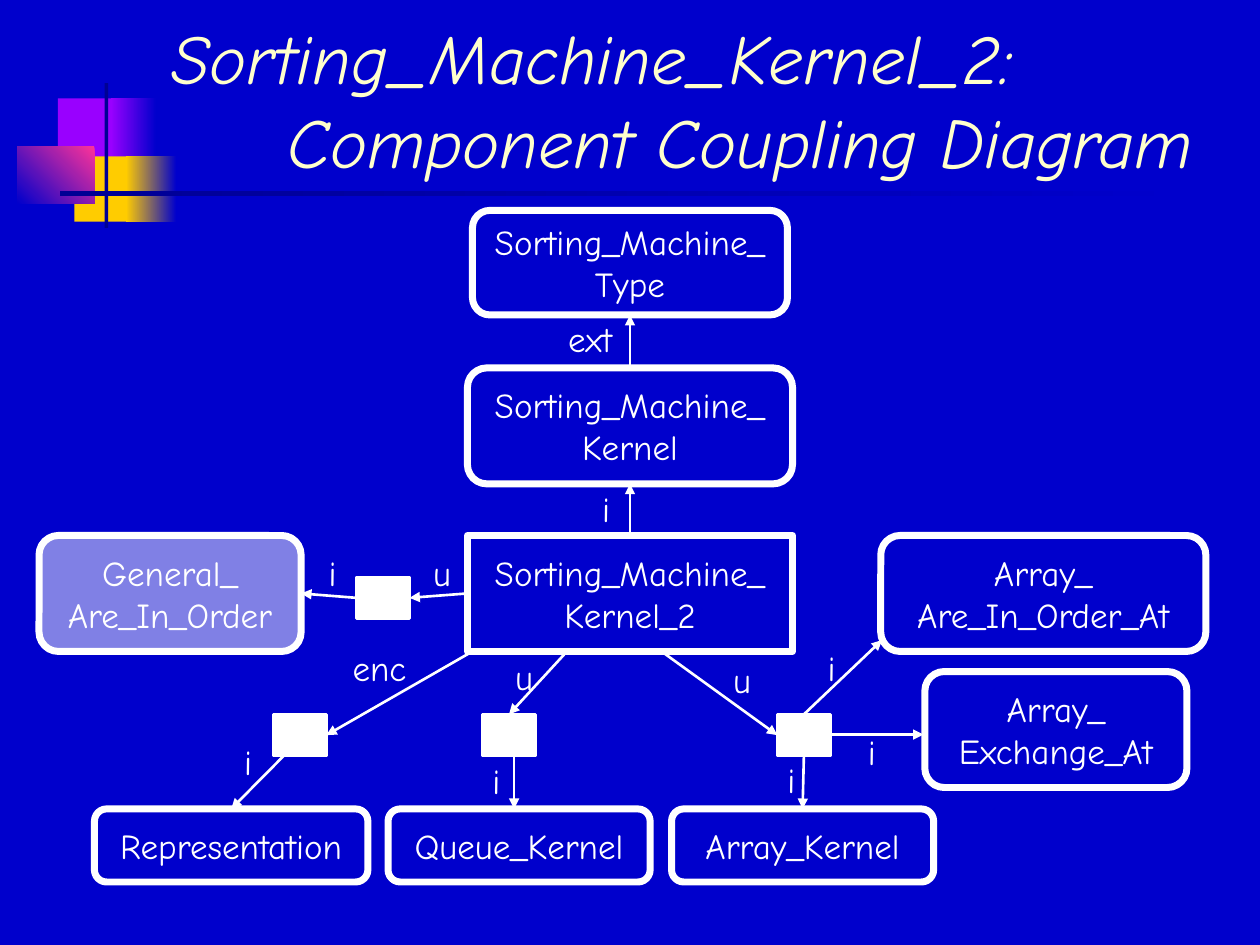
from dataclasses import dataclass
from lxml.etree import SubElement
from pptx import Presentation
from pptx.dml.color import RGBColor
from pptx.enum.shapes import MSO_CONNECTOR, MSO_SHAPE
from pptx.enum.text import MSO_ANCHOR, MSO_AUTO_SIZE, PP_ALIGN
from pptx.oxml.ns import qn
from pptx.util import Inches, Pt


@dataclass
class Theme:
    font: str = "Comic Neue"
    back: str = "0000CC"
    title: str = "FFFFCC"
    ink: str = "FFFFFF"
    violet: str = "9900FF"
    gold: str = "FFCC00"
    pink: str = "FF3399"
    navy: str = "000094"
    big: int = 40
    body: int = 20
    thick: float = 4
    thin: float = 1.5


theme = Theme()
TOP, LEFT, BOTTOM, RIGHT = range(4)


def write(frame, text, size=theme.body, color=theme.ink, italic=False,
          align=PP_ALIGN.LEFT, anchor=MSO_ANCHOR.TOP, wrap=False):
    frame.text = text
    frame.word_wrap = wrap
    frame.auto_size = MSO_AUTO_SIZE.NONE
    frame.vertical_anchor = anchor
    for para in frame.paragraphs:
        para.alignment = align
        for run in para.runs:
            run.font.name = theme.font
            run.font.size = Pt(size)
            run.font.italic = italic
            run.font.color.rgb = RGBColor.from_string(color)


def draw(kind, spot, fill=None, line=None, width=theme.thin):
    shape = slide.shapes.add_shape(kind, *map(Inches, spot))
    shape.shadow.inherit = False
    if fill:
        shape.fill.solid()
        shape.fill.fore_color.rgb = RGBColor.from_string(fill)
    else:
        shape.fill.background()
    if line:
        shape.line.color.rgb = RGBColor.from_string(line)
        shape.line.width = Pt(width)
    else:
        shape.line.fill.background()
    return shape


deck = Presentation()
deck.slide_width, deck.slide_height = Inches(10), Inches(7.5)
slide = deck.slides.add_slide(deck.slide_layouts[5])
slide.background.fill.solid()
slide.background.fill.fore_color.rgb = RGBColor.from_string(theme.back)

# Corner ornament: spot, colours, gradient angle
for spot, tones, angle in [
    ((0.46, 0.78, 0.48, 0.52), [theme.violet], 0),
    ((0.88, 0.78, 0.36, 0.52), [theme.back, theme.violet], 180),
    ((0.59, 1.24, 0.46, 0.52), [theme.gold], 0),
    ((1, 1.24, 0.4, 0.52), [theme.back, theme.gold], 180),
    ((0.14, 1.16, 0.61, 0.46), [theme.pink, theme.back], 225),
    ((0.83, 0.66, 0.03, 1.15), [theme.navy], 0),
    ((0.48, 1.52, 9, 0.04), [theme.back, theme.navy], 180),
]:
    block = draw(MSO_SHAPE.RECTANGLE, spot, tones[0])
    if len(tones) > 1:
        block.fill.gradient()
        block.fill.gradient_angle = angle
        for stop, tone, place in zip(block.fill.gradient_stops, tones, (0, 1)):
            stop.color.rgb = RGBColor.from_string(tone)
            stop.position = place

# Title, with the second line indented
title = slide.shapes.title
title.left, title.top = Inches(1.26), Inches(0.25)
title.width, title.height = Inches(8.52), Inches(1.25)
write(title.text_frame, "Sorting_Machine_Kernel_2:\vComponent Coupling Diagram",
      size=theme.big, color=theme.title, italic=True,
      anchor=MSO_ANCHOR.BOTTOM, wrap=True)
props = title.text_frame.paragraphs[0]._p.get_or_add_pPr()
props.set("marL", str(Inches(0.92)))
props.set("indent", str(-Inches(0.92)))

# Components
ROUND, SQUARE = MSO_SHAPE.ROUNDED_RECTANGLE, MSO_SHAPE.RECTANGLE
nodes = {}
for key, text, kind, spot in [
    ("type", "Sorting_Machine_\nType", ROUND, (3.75, 1.67, 2.5, 0.83)),
    ("kernel", "Sorting_Machine_\nKernel", ROUND, (3.71, 2.92, 2.58, 0.92)),
    ("main", "Sorting_Machine_\nKernel_2", SQUARE, (3.71, 4.25, 2.58, 0.92)),
    ("order", "General_\nAre_In_Order", ROUND, (0.31, 4.25, 2.08, 0.92)),
    ("at", "Array_\nAre_In_Order_At", ROUND, (6.99, 4.25, 2.58, 0.92)),
    ("swap", "Array_\nExchange_At", ROUND, (7.34, 5.33, 2.08, 0.92)),
    ("rep", "Representation", ROUND, (0.75, 6.42, 2.17, 0.58)),
    ("queue", "Queue_Kernel", ROUND, (3.08, 6.42, 2.08, 0.58)),
    ("array", "Array_Kernel", ROUND, (5.33, 6.42, 2.08, 0.58)),
]:
    nodes[key] = draw(kind, spot, line=theme.ink, width=theme.thick)
    write(nodes[key].text_frame, text, align=PP_ALIGN.CENTER,
          anchor=MSO_ANCHOR.MIDDLE)

# Half-clear fill of the general component
fill = nodes["order"].fill
fill.solid()
fill.fore_color.rgb = RGBColor.from_string(theme.ink)
tint = nodes["order"]._element.spPr.find(qn("a:solidFill"))[0]
SubElement(tint, qn("a:alpha"), val="50000")

# Small joints between components
for key, x, y in [("j_order", 2.83, 4.58), ("j_rep", 2.17, 5.67),
                  ("j_queue", 3.83, 5.67), ("j_array", 6.17, 5.67)]:
    nodes[key] = draw(SQUARE, (x, y, 0.42, 0.33), theme.ink, theme.ink)

# Arrows: each end is a point or a (component, side) pair
for start, end in [
    (("kernel", TOP), ("type", BOTTOM)),
    (("main", TOP), ("kernel", BOTTOM)),
    (("main", LEFT), ("j_order", RIGHT)),
    (("j_order", LEFT), ("order", RIGHT)),
    ((3.75, 5.17), ("j_rep", RIGHT)),
    ((2.33, 5.92), ("rep", TOP)),
    ((4.5, 5.17), ("j_queue", TOP)),
    ((4.08, 5.92), (4.08, 6.42)),
    ((5.25, 5.17), ("j_array", LEFT)),
    (("j_array", BOTTOM), ("array", TOP)),
    ((6.5, 5.83), (7.33, 5.83)),
    (("j_array", TOP), (7, 5.08)),
]:
    ends = [(0, 0) if p[0] in nodes else p for p in (start, end)]
    arrow = slide.shapes.add_connector(
        MSO_CONNECTOR.STRAIGHT, *[Inches(v) for p in ends for v in p])
    for p, join in ((start, arrow.begin_connect), (end, arrow.end_connect)):
        if p[0] in nodes:
            join(nodes[p[0]], p[1])
    arrow.line.color.rgb = RGBColor.from_string(theme.ink)
    arrow.line.width = Pt(theme.thin)
    SubElement(arrow.line._get_or_add_ln(), qn("a:tailEnd"), type="triangle")
    SubElement(arrow._element.spPr, qn("a:effectLst"))

# Arrow labels
wide = {"i": 0.26, "u": 0.34, "ext": 0.55, "enc": 0.63}
for text, x, y in [
    ("ext", 4.41, 2.47), ("i", 4.68, 3.82), ("u", 3.34, 4.33),
    ("i", 2.51, 4.33), ("enc", 2.7, 5.08), ("i", 1.84, 5.83),
    ("u", 3.99, 5.15), ("i", 3.81, 5.98), ("u", 5.72, 5.18),
    ("i", 6.15, 5.97), ("i", 6.47, 5.08), ("i", 6.79, 5.75),
]:
    label = slide.shapes.add_textbox(
        Inches(x), Inches(y), Inches(wide[text]), Inches(0.44))
    write(label.text_frame, text)

deck.save("out.pptx")
